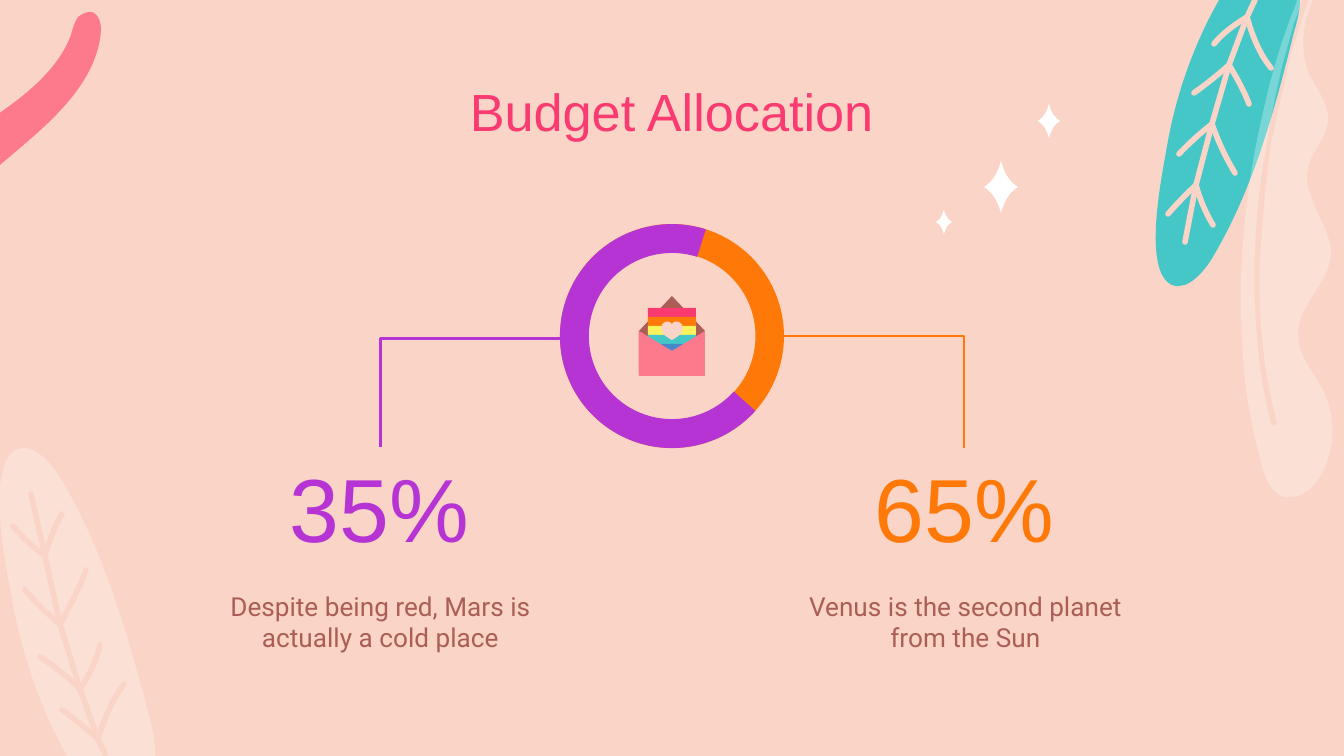
"""Build the Budget Allocation slide with a ring, two callouts and leaf decoration."""
from lxml.etree import SubElement
from pptx import Presentation
from pptx.dml.color import RGBColor
from pptx.enum.shapes import MSO_CONNECTOR, MSO_SHAPE
from pptx.enum.text import MSO_ANCHOR, PP_ALIGN
from pptx.oxml.ns import qn
from pptx.util import Pt

PX = 914400 / 134.4
THEME = {
    "bg": RGBColor.from_string("FAD5C7"),
    "pink": RGBColor.from_string("FA3B71"),
    "rose": RGBColor.from_string("FD798C"),
    "brown": RGBColor.from_string("AA5E56"),
    "purple": RGBColor.from_string("B634D4"),
    "orange": RGBColor.from_string("FF7908"),
    "yellow": RGBColor.from_string("FEF35D"),
    "teal": RGBColor.from_string("45C7C7"),
    "blue": RGBColor.from_string("4488C7"),
    "white": RGBColor.from_string("FFFFFF"),
    "head": "Arial", "body": "Roboto",
    "title": 28, "number": 48, "text": 14,
}

prs = Presentation()
prs.slide_width, prs.slide_height = round(1344 * PX), round(756 * PX)
s = prs.slides.add_slide(prs.slide_layouts[6])
s.background.fill.solid()
s.background.fill.fore_color.rgb = THEME["bg"]


def add_text(text, x, y, w, h, size="text", font="body", color="brown", anchor=MSO_ANCHOR.TOP):
    tb = s.shapes.add_textbox(*(round(v * PX) for v in (x, y, w, h)))
    tf = tb.text_frame
    tf.word_wrap = True
    tf.vertical_anchor = anchor
    tf.margin_left = tf.margin_right = tf.margin_top = tf.margin_bottom = round(13 * PX)
    p = tf.paragraphs[0]
    p.alignment = PP_ALIGN.CENTER
    r = p.add_run()
    r.text = text
    r.font.size = Pt(THEME[size])
    r.font.name = THEME[font]
    r.font.color.rgb = THEME[color]


def add_path(*contours, fill=None, stroke=None, alpha=None):
    fb = s.shapes.build_freeform(*(v * PX for v in contours[0][0]))
    for i, (start, *segments) in enumerate(contours):
        if i:
            fb.move_to(start[0] * PX, start[1] * PX)
        points = [(x * PX, y * PX) for seg in segments for x, y in zip(seg[::2], seg[1::2])]
        fb.add_line_segments(points, close=fill is not None)
    sp = fb.convert_to_shape()
    outline = next(sp._element.iter(qn("a:path")))
    nodes = iter(outline.findall(qn("a:lnTo")))
    for seg in (seg for contour in contours for seg in contour[1:]):
        group = [next(nodes) for _ in seg[::2]]
        if len(group) > 1:
            curve = SubElement(outline, qn("a:cubicBezTo" if len(group) == 3 else "a:quadBezTo"))
            group[0].addprevious(curve)
            for node in group:
                curve.append(node[0])
                outline.remove(node)
    sp.shadow.inherit = False
    if fill:
        sp.fill.solid()
        sp.fill.fore_color.rgb = THEME[fill]
        sp.line.fill.background()
    else:
        sp.fill.background()
        sp.line.color.rgb = THEME[stroke]
        sp.line.width = Pt(3)
        sp.line._ln.set("cap", "rnd")
    if alpha:
        color = sp._element.spPr.find(qn("a:solidFill"))[0]
        SubElement(color, qn("a:alpha")).set("val", str(alpha * 1000))


teal_leaf = [
    (1179, 286), (1176, 286, 1174, 286, 1172, 285), (1141, 271, 1163, 171, 1167, 146),
    (1176, 95, 1193, 46, 1219, 0), (1300, 0), (1300, 11, 1297, 22, 1294, 32),
    (1275, 109, 1254, 187, 1214, 255), (1208, 266, 1193, 286, 1179, 286)]
teal_veins = [
    ((1255, 0), (1247, 17), (1229, 65), (1212, 124), (1196, 185), (1185, 242)),
    ((1214, 44), (1224, 31, 1247, 17), (1256, 50, 1271, 68)),
    ((1194, 93), (1212, 80, 1229, 65), (1243, 88, 1249, 104)),
    ((1179, 154), (1194, 138, 1212, 124), (1221, 150, 1235, 173)),
    ((1168, 214), (1181, 199, 1196, 185), (1202, 207, 1213, 225))]
pale_leaf = [
    (24, 448), (22, 448, 20, 449, 17, 449), (-16, 464, 7, 573, 12, 599),
    (22, 655, 40, 707, 67, 756), (155, 756), (156, 746, 153, 734, 151, 723),
    (129, 640, 106, 555, 62, 481), (56, 470, 40, 448, 24, 448)]
pale_veins = [
    ((31, 494), (45, 556), (60, 624), (80, 689), (98, 739), (106, 756)),
    ((13, 526), (28, 544, 45, 556), (50, 535, 62, 514)),
    ((25, 590), (41, 609, 60, 624), (77, 594, 86, 570)),
    ((40, 657), (62, 671, 80, 689), (95, 667, 100, 645)),
    ((62, 710), (80, 723, 98, 739), (108, 706, 124, 684))]
wavy_leaf = [
    (1290, 497), (1289, 497, 1287, 497, 1285, 497), (1270, 493, 1265, 477, 1261, 462),
    (1250, 421, 1243, 379, 1242, 336), (1238, 261, 1246, 185, 1263, 113),
    (1271, 75, 1282, 39, 1296, 4), (1297, 0), (1302, 0), (1300, 8, 1297, 16, 1294, 23),
    (1290, 38, 1286, 52, 1282, 67), (1275, 97, 1269, 126, 1265, 156),
    (1259, 185, 1257, 215, 1255, 245), (1254, 276, 1254, 305, 1257, 335),
    (1259, 364, 1263, 394, 1271, 423), (1271, 425, 1273, 426, 1274, 426),
    (1275, 426, 1277, 424, 1277, 422), (1274, 411), (1267, 382, 1263, 352, 1261, 323),
    (1259, 293, 1259, 263, 1262, 234), (1264, 204, 1267, 173, 1271, 144),
    (1277, 116, 1284, 86, 1290, 58), (1296, 38, 1302, 19, 1309, 0), (1313, 0),
    (1302, 24, 1300, 51, 1309, 73), (1316, 89, 1329, 103, 1328, 121),
    (1327, 138, 1310, 153, 1308, 169), (1302, 199, 1332, 226, 1331, 255),
    (1328, 284, 1300, 304, 1298, 332), (1297, 355, 1314, 372, 1324, 392),
    (1336, 418, 1335, 449, 1322, 473), (1316, 485, 1304, 497, 1290, 497)]
stem = [
    (90, 12), (85, 12, 81, 15, 78, 17), (74, 23, 73, 28, 71, 35), (59, 67, 31, 91, 1, 112),
    (0, 113), (0, 165), (7, 159, 13, 154, 20, 148), (58, 116, 98, 78, 101, 30),
    (101, 23, 99, 16, 94, 13), (93, 12, 91, 12, 90, 12)]
heart = [
    (672, 324), (670, 321, 667, 321, 665, 322), (663, 323, 661, 325, 661, 328),
    (661, 334, 667, 337, 672, 340), (677, 337, 683, 334, 683, 328),
    (683, 325, 681, 323, 679, 322), (677, 321, 674, 321, 672, 324)]

add_path(teal_leaf, fill="teal")
add_path(*teal_veins, stroke="bg")
add_path(wavy_leaf, fill="white", alpha=28)
for cx, cy, w, h in [(1001, 187, 17, 26), (1049, 121, 11, 17), (944, 222, 8, 12)]:
    x1, x2, y1, y2 = w * 0.24, w * 0.6, h * 0.42, h * 0.16
    add_path([(cx, cy - h), (cx - x1, cy - y1, cx - x2, cy - y2, cx - w, cy),
              (cx - x2, cy + y2, cx - x1, cy + y1, cx, cy + h),
              (cx + x1, cy + y1, cx + x2, cy + y2, cx + w, cy),
              (cx + x2, cy - y2, cx + x1, cy - y1, cx, cy - h)], fill="white")
add_path(stem, fill="rose")
add_path(pale_leaf, fill="white", alpha=28)
add_path(*pale_veins, stroke="bg")

add_text("Budget Allocation", 257, 66, 829, 85, size="title", font="head", color="pink")
columns = [
    (380, "35%", "purple", "Despite being red, Mars is actually a cold place"),
    (965, "65%", "orange", "Venus is the second planet from the Sun"),
]
for cx, number, color, caption in columns:
    add_text(caption, cx - 173, 577, 347, 90)
    add_text(number, cx - 130, 448, 259, 118, size="number", font="head", color=color,
             anchor=MSO_ANCHOR.MIDDLE)

rings = [
    (MSO_SHAPE.DONUT, "orange", [0.127]),
    (MSO_SHAPE.BLOCK_ARC, "purple", [79.141, 10.574, 0.129]),
]
for kind, color, adjustments in rings:
    sp = s.shapes.add_shape(kind, *(round(v * PX) for v in (560, 224, 224, 224)))
    for i, value in enumerate(adjustments):
        sp.adjustments[i] = value
    sp.rotation = 270
    sp.shadow.inherit = False
    sp.fill.solid()
    sp.fill.fore_color.rgb = THEME[color]
    sp.line.fill.background()

for color, ends, angle in [("purple", (421, 298, 530, 488), 270), ("orange", (930, 302, 818, 482), 90)]:
    cn = s.shapes.add_connector(MSO_CONNECTOR.ELBOW, *(round(v * PX) for v in ends))
    cn.line.color.rgb = THEME[color]
    cn.line.width = Pt(1.5)
    sp_pr = cn._element.spPr
    sp_pr.find(qn("a:xfrm")).set("rot", str(angle * 60000))
    sp_pr.find(qn("a:prstGeom")).set("prst", "bentConnector2")
    SubElement(sp_pr, qn("a:effectLst"))

add_path([(639, 331), (672, 296), (705, 331), (705, 374), (639, 374)], fill="brown")
for i, color in enumerate(["pink", "orange", "yellow", "teal", "blue"]):
    sp = s.shapes.add_shape(MSO_SHAPE.RECTANGLE, *(round(v * PX) for v in (648, 308 + 9 * i, 48, 9)))
    sp.shadow.inherit = False
    sp.fill.solid()
    sp.fill.fore_color.rgb = THEME[color]
    sp.line.fill.background()
add_path([(639, 331), (672, 351), (705, 331), (705, 376), (639, 376)], fill="rose")
add_path(heart, fill="bg")

prs.save("out.pptx")
